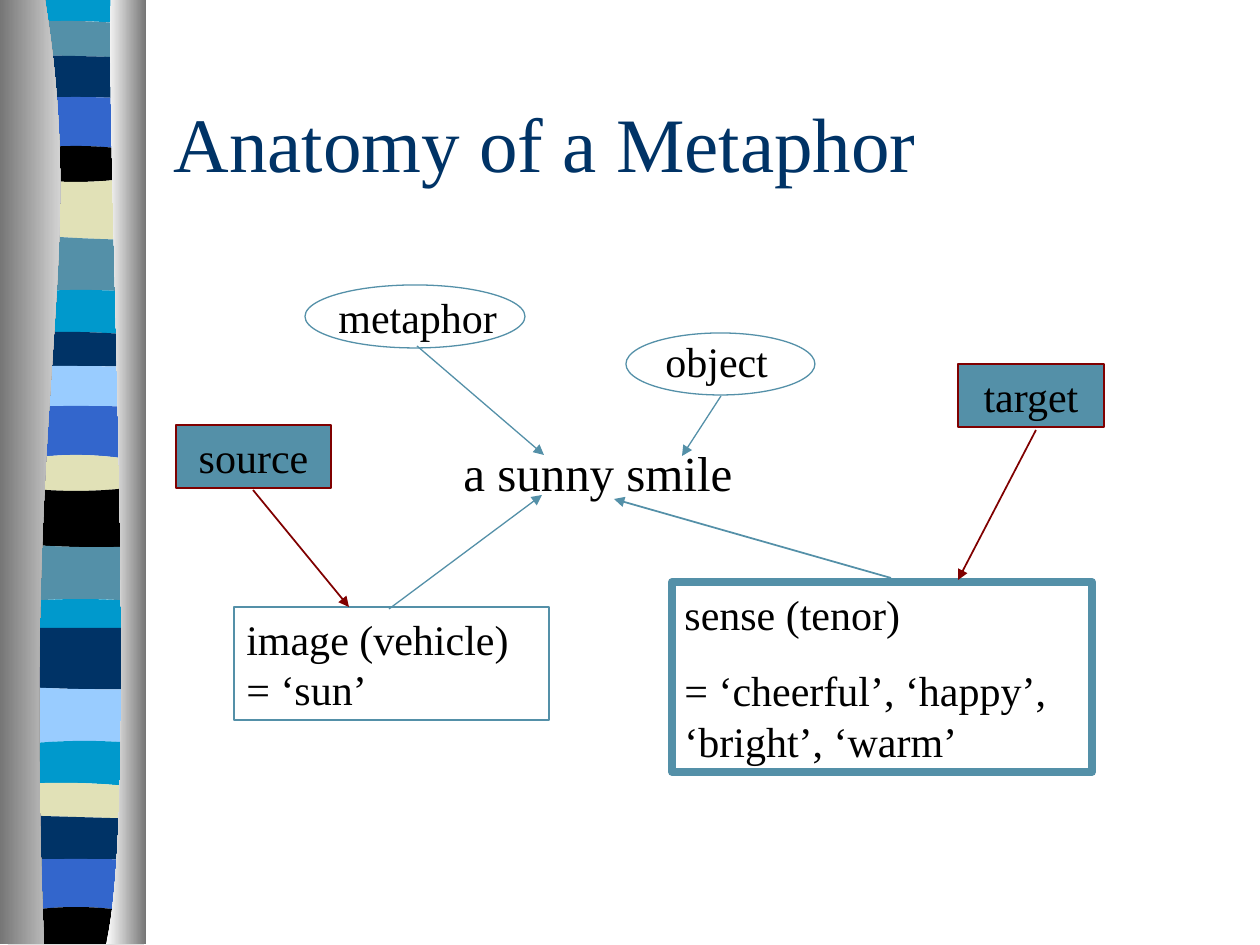
import pptx
import pptx.dml.color
import pptx.enum.shapes
import pptx.enum.text
import pptx.oxml.ns
import pptx.util
from lxml import etree

RGBColor = pptx.dml.color.RGBColor
MSO_SHAPE = pptx.enum.shapes.MSO_SHAPE
ALIGN = pptx.enum.text.PP_ALIGN
ANCHOR = pptx.enum.text.MSO_ANCHOR
qn = pptx.oxml.ns.qn

BLACK = RGBColor(0x00, 0x00, 0x00)
WHITE = RGBColor(0xFF, 0xFF, 0xFF)
GREY = RGBColor(0x76, 0x76, 0x76)
NAVY = RGBColor(0x00, 0x33, 0x66)
CYAN = RGBColor(0x00, 0x99, 0xCC)
TEAL = RGBColor(0x54, 0x90, 0xA8)
BLUE = RGBColor(0x33, 0x66, 0xCC)
SKY = RGBColor(0x99, 0xCC, 0xFF)
SAND = RGBColor(0xE1, 0xE1, 0xB7)
MAROON = RGBColor(0x80, 0x00, 0x00)

FONT = "Times New Roman"
EMU_PER_PX = 914400 / 126
CURVE_TAGS = {2: "a:quadBezTo", 3: "a:cubicBezTo"}

BANDS = [
    (CYAN, 0, 0, 0), (TEAL, 24, 21, 26), (NAVY, 55, 56, 58),
    (BLUE, 100, 97, 100), (BLACK, 152, 146, 152), (SAND, 176, 182, 176),
    (TEAL, 233, 238, 240), (CYAN, 294, 290, 293), (NAVY, 334, 332, 336),
    (SKY, 366, 366, 367), (BLUE, 407, 406, 407), (SAND, 462, 455, 462),
    (BLACK, 486, 491, 486), (TEAL, 543, 547, 546), (CYAN, 603, 599, 602),
    (NAVY, 628, 628, 628), (SKY, 686, 689, 689), (CYAN, 746, 741, 744),
    (SAND, 785, 783, 788), (NAVY, 815, 817, 819), (BLUE, 860, 859, 860),
    (BLACK, 914, 907, 914),
]


def px(length):
    """Turn pixels into EMU."""
    return pptx.util.Emu(round(length * EMU_PER_PX))


def put_text(frame, text, size=24, color=BLACK, align=ALIGN.LEFT,
             anchor=ANCHOR.TOP, gap=15):
    """Fill a text frame, one paragraph for each line of text."""
    frame.word_wrap = True
    frame.vertical_anchor = anchor
    frame.text = text
    for index, paragraph in enumerate(frame.paragraphs):
        paragraph.alignment = align
        paragraph.space_before = pptx.util.Pt(gap if index else 0)
        paragraph.font.name = FONT
        paragraph.font.size = pptx.util.Pt(size)
        paragraph.font.color.rgb = color


def outline(slide, box, start, *segments):
    """Draw a closed outline whose segments hold one point, or two or three for a curve."""
    points = [start] + [point for segment in segments for point in segment]
    corners = [(px(box[0] + x), px(box[1] + y)) for x, y in points]
    builder = slide.shapes.build_freeform(*corners[0], scale=1.0)
    builder.add_line_segments(corners[1:], close=True)
    shape = builder.convert_to_shape()
    shape.shadow.inherit = False
    shape.line.fill.background()
    steps = iter(list(shape.element.iter(qn("a:lnTo"))))
    for segment in segments:
        first, *others = [next(steps) for _ in segment]
        if others:
            bend = etree.Element(qn(CURVE_TAGS[len(segment)]))
            first.addprevious(bend)
            for step in (first, *others):
                bend.append(step[0])
                step.getparent().remove(step)
    return shape


def curtain(slide, box, edge, inner, colors):
    """Draw a curtain shaded from left to right."""
    top, *bends = inner
    fill = outline(slide, box, (edge, 0), [top], bends, [(edge, box[3])]).fill
    fill.gradient()
    fill.gradient_angle = 0
    for stop, color in zip(fill.gradient_stops, colors):
        stop.color.rgb = color


def ribbon(slide, box):
    """Draw the wavy bands between the two curtains."""
    width, height = box[2:]
    left, right = 8, width - 2
    middle = (left + right) / 2
    levels = [band[1:] for band in BANDS] + [(height, height, height)]
    edges = [[(left, a), (middle, 2 * b - (a + c) / 2), (right, c)]
             for a, b, c in levels]
    for (color, *_), top, bottom in zip(BANDS, edges, edges[1:]):
        band = outline(slide, box, top[0], top[1:], [bottom[2]], bottom[1::-1])
        band.fill.solid()
        band.fill.fore_color.rgb = color
    curtain(slide, box, 0, [(45, 0), (89, 272), (21, 373), (44, height)],
            (GREY, WHITE))
    curtain(slide, box, width, [(111, 0), (106, 158), (140, 814), (106, height)],
            (WHITE, GREY))


def heading(slide, box, text):
    """Place the title."""
    title = slide.shapes.title
    title.left, title.top, title.width, title.height = map(px, box)
    put_text(title.text_frame, text, size=44, color=NAVY, anchor=ANCHOR.MIDDLE)


def diagram(slide, box):
    """Draw the phrase with its labelled parts and arrows."""
    left, top = box[:2]

    def place(x, y, width, height):
        return px(left + x), px(top + y), px(width), px(height)

    def label(area, text, **style):
        put_text(slide.shapes.add_textbox(*place(*area)).text_frame, text, **style)

    def node(area, text="", kind=MSO_SHAPE.RECTANGLE, fill=None, line=TEAL,
             weight=0.75, **style):
        shape = slide.shapes.add_shape(kind, *place(*area))
        shape.shadow.inherit = False
        if fill is None:
            shape.fill.background()
        else:
            shape.fill.solid()
            shape.fill.fore_color.rgb = fill
        shape.line.color.rgb = line
        shape.line.width = pptx.util.Pt(weight)
        if text:
            put_text(shape.text_frame, text, **style)

    def arrow(x1, y1, x2, y2, color=TEAL, weight=0.75):
        connector = slide.shapes.add_connector(
            pptx.enum.shapes.MSO_CONNECTOR.STRAIGHT,
            px(left + x1), px(top + y1), px(left + x2), px(top + y2))
        connector.line.color.rgb = color
        connector.line.width = pptx.util.Pt(weight)
        properties = connector.element.spPr
        etree.SubElement(properties.find(qn("a:ln")), qn("a:tailEnd"), type="triangle")
        etree.SubElement(properties, qn("a:effectLst"))

    label((276, 152, 305, 72), "a sunny smile", size=28)

    label((151, 1, 203, 63), "metaphor")
    node((130, 1, 220, 63), kind=MSO_SHAPE.OVAL)
    arrow(242, 62, 369, 171)

    label((478, 45, 141, 63), "object")
    node((451, 49, 189, 62), kind=MSO_SHAPE.OVAL)
    arrow(546, 112, 507, 172)

    node((59, 323, 315, 113), "image (vehicle) = ‘sun’")
    arrow(214, 325, 367, 211)

    node((497, 298, 420, 190),
         "sense (tenor)\n= ‘cheerful’, ‘happy’, ‘bright’, ‘warm’", weight=4.5)
    arrow(716, 294, 439, 215, weight=1)

    domain = dict(fill=TEAL, line=MAROON, weight=1, align=ALIGN.CENTER)
    node((1, 141, 155, 63), "source", **domain)
    arrow(78, 206, 174, 323, color=MAROON, weight=1)
    node((783, 80, 146, 63), "target", **domain)
    arrow(861, 146, 783, 296, color=MAROON, weight=1)


def main():
    """Build and save the slide."""
    deck = pptx.Presentation()
    deck.slide_width, deck.slide_height = px(1260), px(945)
    slide = deck.slides.add_slide(deck.slide_layouts[5])
    ribbon(slide, (0, 0, 146, 944))
    heading(slide, (161, 63, 1071, 158), "Anatomy of a Metaphor")
    diagram(slide, (175, 284, 930, 490))
    deck.save("out.pptx")


if __name__ == "__main__":
    main()
